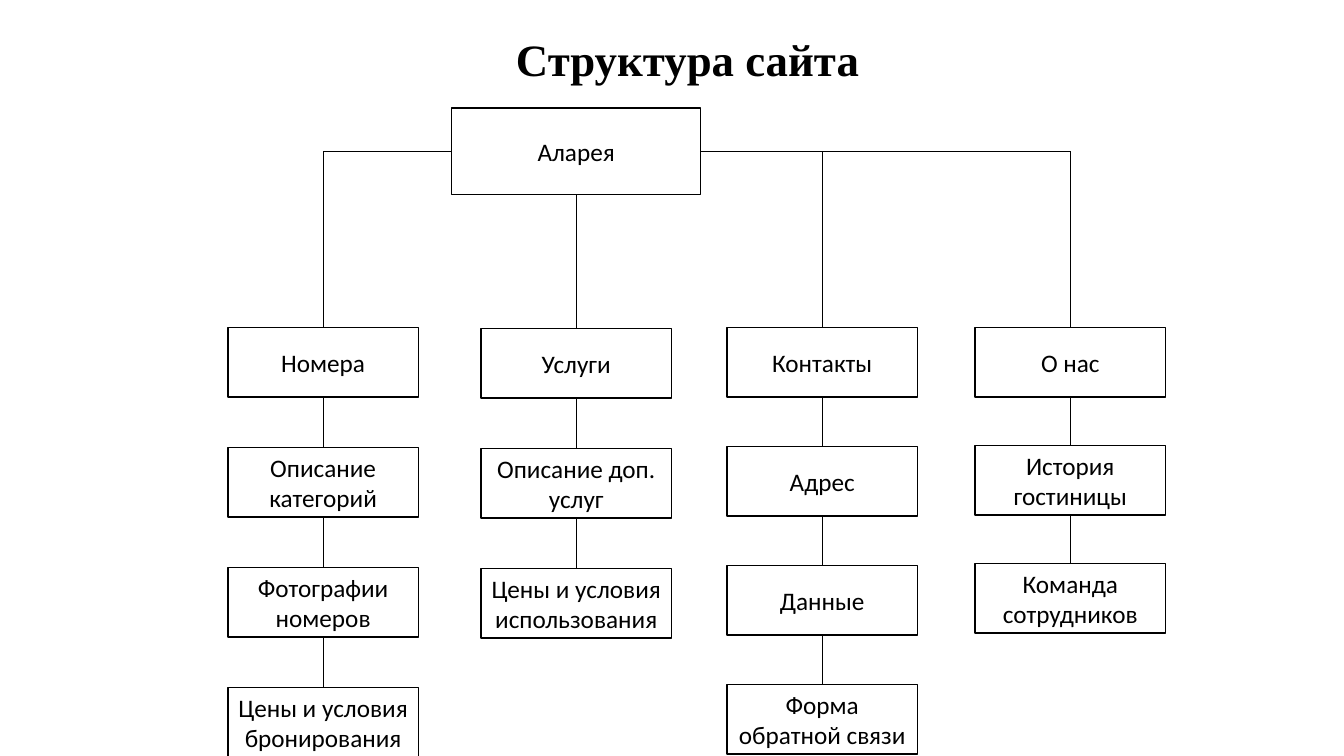
from pptx import Presentation
from pptx import util as u
from pptx.dml.color import RGBColor
from pptx.enum import shapes, text
from lxml import etree

COLORS = {"ink": "000000", "paper": "FFFFFF"}
DRAWING = "http://schemas.openxmlformats.org/drawingml/2006/main"

TITLE_BOX = (3.01, 0.27, 7.62, 0.69)
ROOT_BOX = (4.48, 1.07, 2.47, 0.86)
CARD_WIDTH, CARD_HEIGHT = 1.89, 0.69

# Each branch: left, top, distance between rows, labels
BRANCHES = [
    (2.26, 3.25, 1.19, ["Номера", "Описание категорий", "Фотографии номеров",
                        "Цены и условия бронирования"]),
    (4.77, 3.26, 1.19, ["Услуги", "Описание доп. услуг",
                        "Цены и условия использования"]),
    (7.21, 3.25, 1.18, ["Контакты", "Адрес", "Данные",
                        "Форма обратной связи"]),
    (9.67, 3.25, 1.17, ["О нас", "История гостиницы", "Команда сотрудников"]),
]


def color(name):
    return RGBColor.from_string(COLORS[name])


def write(shape, label, size, font, bold=False, spacing=1.0):
    frame = shape.text_frame
    frame.word_wrap = True
    frame.vertical_anchor = text.MSO_ANCHOR.MIDDLE
    para = frame.paragraphs[0]
    para.alignment = text.PP_ALIGN.CENTER
    para.line_spacing = spacing
    span = para.add_run()
    span.text = label
    span.font.size = u.Pt(size)
    span.font.name = font
    span.font.bold = bold
    span.font.color.rgb = color("ink")


def add_title(page, box, label):
    title = page.shapes.add_textbox(*map(u.Inches, box))
    write(title, label, 32, "Times New Roman", bold=True, spacing=0.9)


def add_card(page, box, label):
    card = page.shapes.add_shape(shapes.MSO_SHAPE.RECTANGLE,
                                 *map(u.Inches, box))
    card.shadow.inherit = False
    card.fill.solid()
    card.fill.fore_color.rgb = color("paper")
    card.line.color.rgb = color("ink")
    card.line.width = u.Pt(1)
    write(card, label, 18, "Calibri")


def style_link(link):
    link.line.color.rgb = color("ink")
    link.line.width = u.Pt(0.75)


def add_link(page, x1, y1, x2, y2):
    link = page.shapes.add_connector(shapes.MSO_CONNECTOR.STRAIGHT,
                                     *map(u.Inches, (x1, y1, x2, y2)))
    style_link(link)
    etree.SubElement(link._element.spPr, f"{{{DRAWING}}}effectLst")


def add_elbow(page, start, corner, end):
    points = [tuple(map(u.Inches, point)) for point in (start, corner, end)]
    builder = page.shapes.build_freeform(*points[0])
    builder.add_line_segments(points[1:], close=False)
    elbow = builder.convert_to_shape()
    elbow.shadow.inherit = False
    elbow.fill.background()
    style_link(elbow)


def add_branch(page, left, top, pitch, labels):
    center = left + CARD_WIDTH / 2
    for row, label in enumerate(labels):
        y = top + row * pitch
        if row:
            add_link(page, center, y - pitch + CARD_HEIGHT, center, y)
        add_card(page, (left, y, CARD_WIDTH, CARD_HEIGHT), label)


def add_root(page, box, label):
    left, top, width, height = box
    right, middle = left + width, top + height / 2
    rooms, services, contacts, about = [
        (branch[0] + CARD_WIDTH / 2, branch[1]) for branch in BRANCHES]

    # Links from the home page to the four sections
    add_elbow(page, rooms, (rooms[0], middle), (left, middle))
    add_link(page, services[0], top + height, *services)
    add_link(page, right, middle, about[0], middle)
    for section in (contacts, about):
        add_link(page, section[0], middle, *section)
    add_card(page, box, label)


def main():
    deck = Presentation()
    deck.slide_width, deck.slide_height = u.Inches(13.33), u.Inches(7.5)
    page = deck.slides.add_slide(deck.slide_layouts[6])

    # Heading, home page, then its sections
    add_title(page, TITLE_BOX, "Структура сайта")
    add_root(page, ROOT_BOX, "Аларея")
    for branch in BRANCHES:
        add_branch(page, *branch)
    deck.save("out.pptx")


if __name__ == "__main__":
    main()
